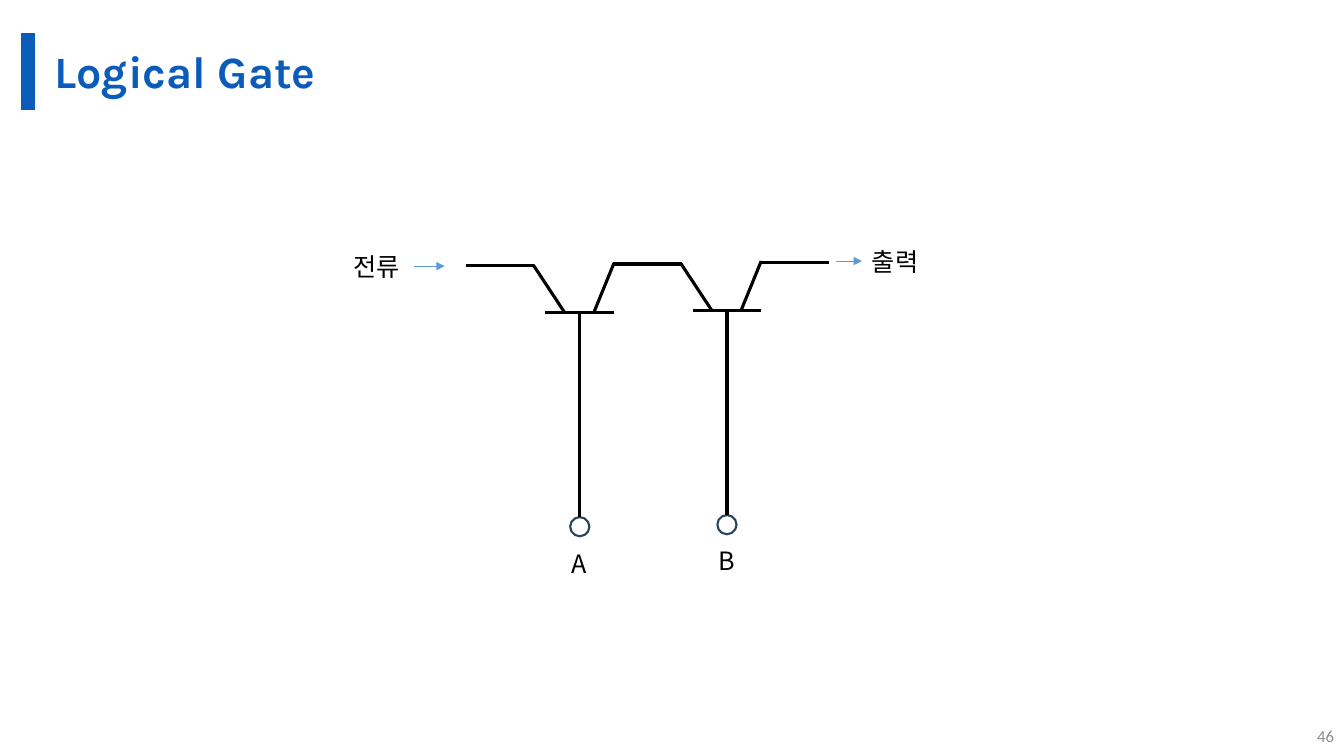
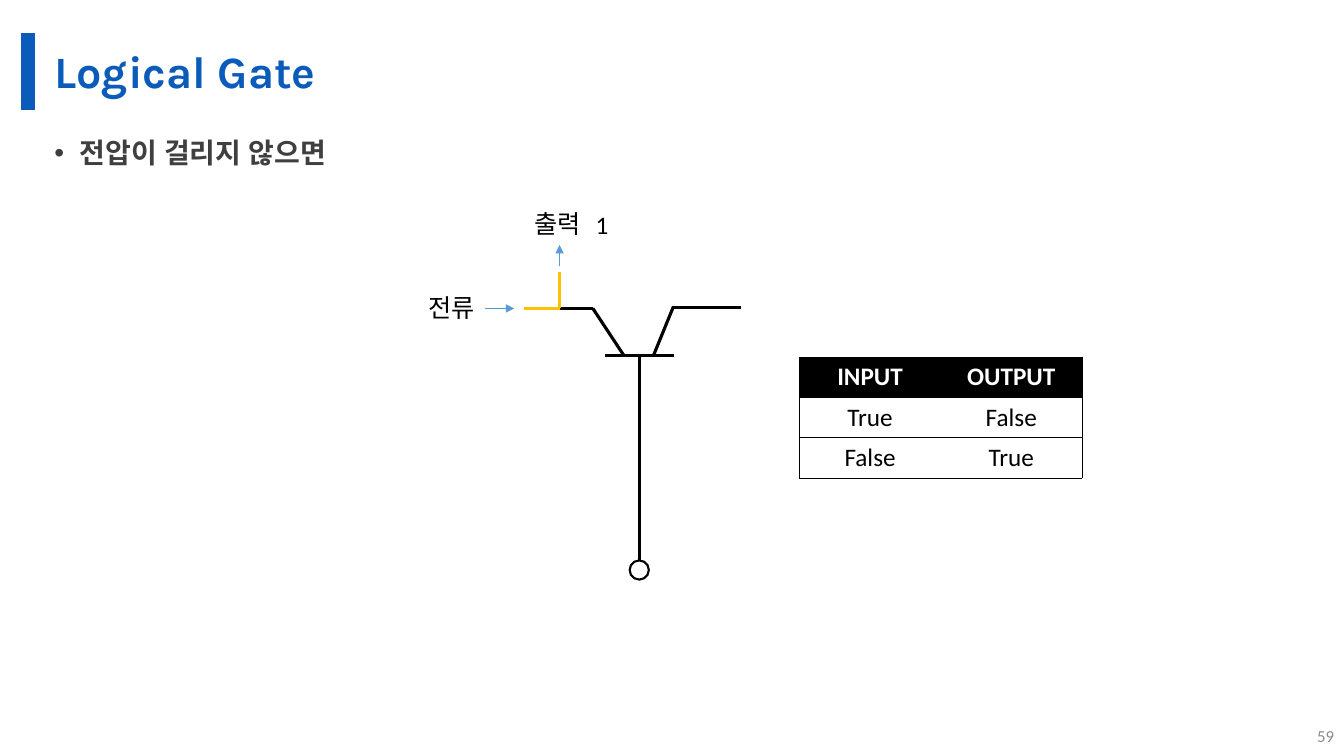
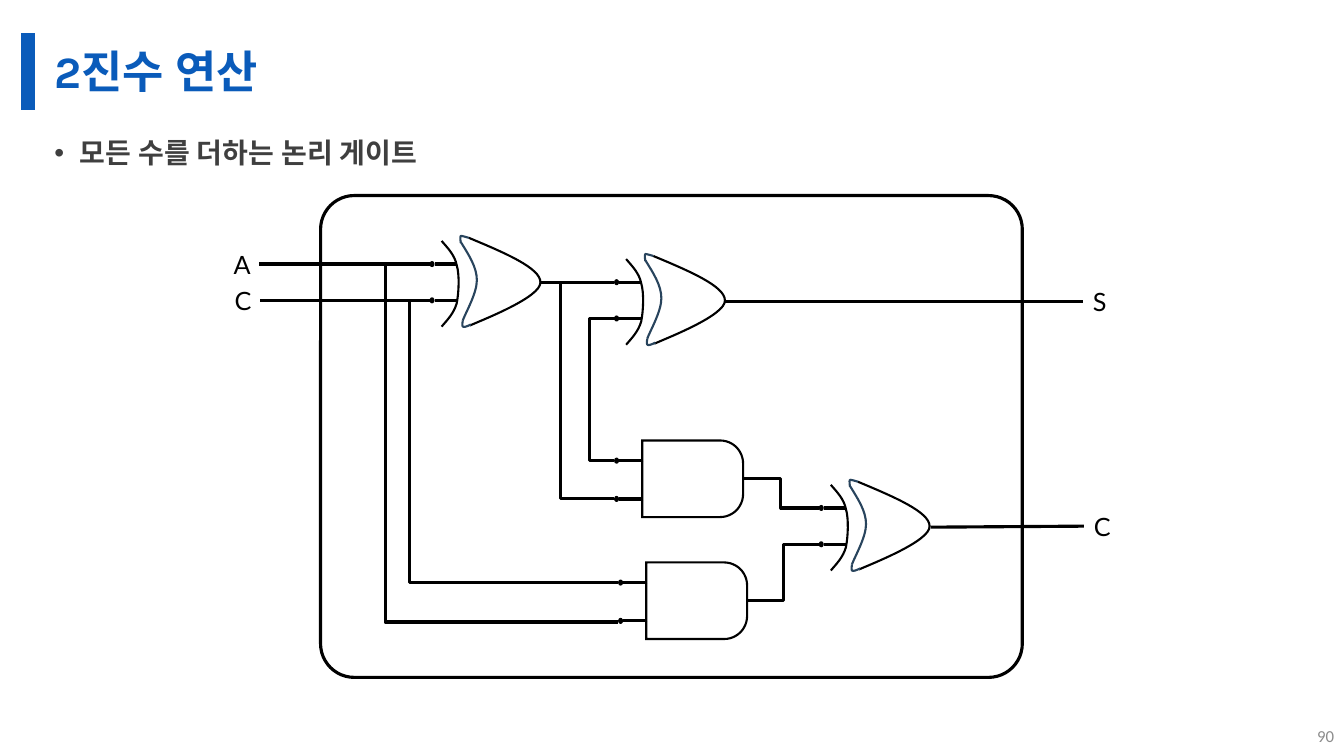
"""Builds three slides about transistors and logic gates."""
import dataclasses

import pptx
import pptx.dml.color
import pptx.enum.shapes
import pptx.enum.text
import pptx.oxml
import pptx.oxml.ns
import pptx.util

SHAPE = pptx.enum.shapes.MSO_SHAPE
CONNECTOR = pptx.enum.shapes.MSO_CONNECTOR
ALIGN = pptx.enum.text.PP_ALIGN
ANCHOR = pptx.enum.text.MSO_ANCHOR
qn = pptx.oxml.ns.qn


@dataclasses.dataclass(frozen=True)
class Theme:
    accent: str = "0A5BBA"
    ink: str = "000000"
    paper: str = "FFFFFF"
    body: str = "3F3F3F"
    muted: str = "8C8C8C"
    outline: str = "28445D"
    arrow: str = "5B9BD5"
    live: str = "FFC000"
    title_font: str = "Karla"
    body_font: str = "Lato"
    plain_font: str = "Calibri"
    korean_font: str = "Noto Sans CJK KR"
    title_size: int = 32
    body_size: int = 20
    label_size: int = 18
    number_size: int = 12
    wire: float = 2.25
    edge: float = 1.5
    hair: float = 0.5


T = Theme()
PX = 9144
SLIDE = (1333, 750)
BAR = (22, 33, 12, 75)
TITLE = (44, 33, 1245, 75)
BODY = (44, 125, 1245, 592)
NUMBER = (1289, 710, 44, 40)
LABEL_HEIGHT = 40

TRANSISTOR_WIRES = [
    (541, 310, 609, 310), (529, 263, 560, 310),
    (609, 261, 589, 310), (608, 262, 676, 262),
]
TRANSISTOR_STEM = (575, 513, 575, 310)
TERMINAL = 19

XOR_CURVES = [
    ([(465, 236), (501, 251, 536, 266, 536, 280), (537, 295, 477, 318, 466, 323)], T.ink),
    ([(465, 236), (462, 235, 458, 234, 457, 234), (456, 235, 457, 240, 457, 241)], T.outline),
    ([(467, 322), (463, 324, 460, 325, 459, 324), (458, 323, 459, 319, 459, 318)], T.outline),
    ([(457, 240), (465, 253, 473, 265, 473, 278), (473, 291, 462, 310, 459, 318)], T.outline),
    ([(438, 239), (444, 246, 451, 253, 453, 263), (456, 273, 455, 291, 453, 301),
      (450, 311, 444, 317, 438, 324)], T.ink),
]
XOR_PINS = [(426, 262), (426, 298)]
XOR_PIN_END = 453
AND_BOX = (649, 425, 76, 100)
AND_PINS = [(609, 457), (609, 495)]
AND_PIN_END = 638

AND_CIRCUIT = {
    "title": "Logical Gate", "number": "46", "terminal": T.outline,
    "transistors": [(0, 0), (146, -2)],
    "wires": [(462, 263, 530, 263, T.ink)],
    "arrows": [(411, 264, 441, 264), (829, 259, 855, 259)],
    "labels": [
        ("전류", 341, 244, 71, T.korean_font), ("출력", 855, 239, 69, T.korean_font),
        ("A", 557, 539, 37, T.korean_font), ("B", 703, 536, 37, T.korean_font),
    ],
}
NOT_CIRCUIT = {
    "title": "Logical Gate", "bullet": "전압이 걸리지 않으면", "number": "59", "terminal": T.ink,
    "transistors": [(59, 43)],
    "wires": [(520, 306, 588, 306, T.ink), (555, 270, 555, 306, T.live), (520, 306, 555, 306, T.live)],
    "arrows": [(481, 306, 510, 306), (555, 264, 555, 243)],
    "labels": [
        ("전류", 415, 285, 71, T.korean_font), ("출력", 520, 202, 69, T.korean_font),
        ("1", 581, 203, 36, T.plain_font),
    ],
}
TRUTH_TABLE = [("INPUT", "OUTPUT"), ("True", "False"), ("False", "True")]
TABLE_AT = (793, 354)
CELL = (140, 40)

ADDER = {
    "title": "2진수 연산", "bullet": "모든 수를 더하는 논리 게이트", "number": "90",
    "frame": (318, 194, 696, 478),
    "xor": [(0, 0), (183, 18), (386, 242)],
    "and": [(0, 0), (4, 121)],
    "wires": [
        (257, 262, 318, 262), (258, 298, 318, 298), (318, 262, 426, 262), (318, 298, 427, 298),
        (536, 280, 609, 280), (719, 299, 1074, 299), (923, 523, 1075, 522),
    ],
    "drops": [(556, 282, 609, 495), (406, 298, 613, 578), (382, 262, 613, 617)],
    "bends": [(610, 316, 609, 457, 26), (737, 475, 812, 504, 0.5), (741, 596, 813, 540, 0.5)],
    "labels": [
        ("A", 222, 242, 36, T.body_font), ("C", 223, 278, 36, T.body_font),
        ("S", 1074, 279, 34, T.body_font), ("C", 1075, 502, 36, T.body_font),
    ],
}


def px(*lengths):
    return [pptx.util.Emu(round(n * PX)) for n in lengths]


def rgb(color):
    return pptx.dml.color.RGBColor.from_string(color)


def place(shape, box):
    shape.left, shape.top, shape.width, shape.height = px(*box)


def sub(parent, tag, **attrs):
    e = pptx.oxml.parse_xml(f"<{tag} {pptx.oxml.ns.nsdecls('a')}/>")
    for name, value in attrs.items():
        e.set(name, str(value))
    parent.append(e)
    return e


def write(tf, text, size=T.label_size, font=T.plain_font, color=T.ink, bold=False,
          align=ALIGN.LEFT, spacing=None, after=None, bullet=False):
    p = tf.paragraphs[0]
    p.alignment, p.line_spacing = align, spacing
    p.space_before = pptx.util.Pt(0)
    if after:
        p.space_after = pptx.util.Pt(after)
    if bullet:
        pPr = p._p.get_or_add_pPr()
        pPr.set("marL", str(25 * PX))
        pPr.set("indent", str(-25 * PX))
        sub(pPr, "a:buChar", char="•")
    r = p.add_run()
    r.text = text
    r.font.size, r.font.name, r.font.bold = pptx.util.Pt(size), font, bold
    r.font.color.rgb = rgb(color)
    sub(r._r.get_or_add_rPr(), "a:ea", typeface=font)


def label(s, text, x, y, width, font):
    tf = s.shapes.add_textbox(*px(x, y, width, LABEL_HEIGHT)).text_frame
    tf.word_wrap = False
    write(tf, text, font=font)


def stroke(line, color, width):
    line.color.rgb = rgb(color)
    line.width = pptx.util.Pt(width)


def shape(shapes, kind, box, fill=None, line=None, width=T.edge):
    sp = shapes.add_shape(kind, *px(*box))
    sp.shadow.inherit = False
    if fill:
        sp.fill.solid()
        sp.fill.fore_color.rgb = rgb(fill)
    else:
        sp.fill.background()
    if line:
        stroke(sp.line, line, width)
        sub(sp.line._get_or_add_ln(), "a:miter", lim=800000)
    else:
        sp.line.fill.background()
    return sp


def wire(shapes, x1, y1, x2, y2, color=T.ink, width=T.wire, kind=CONNECTOR.STRAIGHT, arrow=False):
    c = shapes.add_connector(kind, *px(x1, y1, x2, y2))
    stroke(c.line, color, width)
    if arrow:
        sub(c.line._get_or_add_ln(), "a:tailEnd", type="triangle")
    sub(c._element.spPr, "a:effectLst")
    return c


def bend(shapes, x1, y1, x2, y2, ratio):
    c = wire(shapes, x1, y1, x2, y2, kind=CONNECTOR.ELBOW)
    guides = c._element.spPr.find(qn("a:prstGeom")).find(qn("a:avLst"))
    sub(guides, "a:gd", name="adj1", fmla=f"val {round(ratio * 100000)}")


def drop(shapes, x1, y1, x2, y2):
    c = wire(shapes, x1, y1, x2, y2, kind=CONNECTOR.ELBOW)
    across, down = x2 - x1, y2 - y1
    place(c, ((x1 + x2 - down) / 2, (y1 + y2 - across) / 2, down, across))
    spPr = c._element.spPr
    spPr.find(qn("a:prstGeom")).set("prst", "bentConnector2")
    spPr.find(qn("a:xfrm")).set("rot", str(270 * 60000))
    spPr.find(qn("a:xfrm")).set("flipH", "1")


def curve(shapes, points, dx, dy, color):
    start, *segments = points
    pairs = [start] + [seg[i:i + 2] for seg in segments for i in (0, 2, 4)]
    pairs = [px(x + dx, y + dy) for x, y in pairs]
    builder = shapes.build_freeform(*pairs[0], scale=1.0)
    builder.add_line_segments(pairs[1:], close=False)
    sp = builder.convert_to_shape()
    sp.shadow.inherit = False
    sp.fill.background()
    stroke(sp.line, color, T.edge)
    outline = next(sp._element.iter(qn("a:path")))
    steps = outline.findall(qn("a:lnTo"))
    for i in range(0, len(steps), 3):
        bezier = sub(outline, "a:cubicBezTo")
        for step in steps[i:i + 3]:
            bezier.append(step[0])
            outline.remove(step)


def transistor(s, dx, dy, terminal):
    shapes = s.shapes.add_group_shape().shapes
    for x1, y1, x2, y2 in TRANSISTOR_WIRES:
        wire(shapes, x1 + dx, y1 + dy, x2 + dx, y2 + dy)
    x1, y1, x2, y2 = TRANSISTOR_STEM
    box = (x1 + dx - TERMINAL / 2, y1 + dy, TERMINAL, TERMINAL)
    end = shape(shapes, SHAPE.OVAL, box, line=terminal)
    wire(shapes, x1 + dx, y1 + dy, x2 + dx, y2 + dy).begin_connect(end, 0)


def pins(shapes, starts, end, dx, dy):
    for x, y in starts:
        wire(shapes, end + dx, y + dy, x + dx + 5, y + dy)
        shape(shapes, SHAPE.OVAL, (x + dx, y + dy - 3, 5, 6), fill=T.ink)


def xor_gate(s, dx, dy):
    shapes = s.shapes.add_group_shape().shapes
    pins(shapes, XOR_PINS, XOR_PIN_END, dx, dy)
    for points, color in XOR_CURVES:
        curve(shapes, points, dx, dy, color)


def and_gate(s, dx, dy):
    shapes = s.shapes.add_group_shape().shapes
    x, y, w, h = AND_BOX
    sp = shape(shapes, SHAPE.ROUND_2_SAME_RECTANGLE, (x + dx, y + dy, w, h), line=T.ink)
    sp.adjustments[0], sp.adjustments[1] = 0.3, 0
    sp.rotation = 90
    pins(shapes, AND_PINS, AND_PIN_END, dx, dy)


def truth_table(s):
    rows, cols = len(TRUTH_TABLE), len(TRUTH_TABLE[0])
    size = (CELL[0] * cols, CELL[1] * rows)
    table = s.shapes.add_table(rows, cols, *px(*TABLE_AT, *size)).table
    style = table._tbl.tblPr.find(qn("a:tableStyleId"))
    style.text = "{2D5ABB26-0587-4C30-8999-92F81FD0307C}"
    for i, row in enumerate(TRUTH_TABLE):
        for j, text in enumerate(row):
            cell = table.cell(i, j)
            sides = ["a:lnL"] * (j == 0) + ["a:lnR"] * (j == cols - 1) + ["a:lnT", "a:lnB"]
            for side in sides:
                ln = sub(cell._tc.get_or_add_tcPr(), side, w=round(T.hair * 12700))
                sub(sub(ln, "a:solidFill"), "a:srgbClr", val=T.ink)
            head = i == 0
            cell.fill.solid()
            cell.fill.fore_color.rgb = rgb(T.ink if head else T.paper)
            write(cell.text_frame, text, color=T.paper if head else T.ink, bold=head, align=ALIGN.CENTER)


def new_slide(prs, content):
    bullet = content.get("bullet")
    s = prs.slides.add_slide(prs.slide_layouts[1 if bullet else 5])
    tf = s.shapes.title.text_frame
    tf.auto_size = pptx.enum.text.MSO_AUTO_SIZE.NONE
    tf.vertical_anchor = ANCHOR.MIDDLE
    tf.margin_bottom = 0
    write(tf, content["title"], T.title_size, T.title_font, T.accent, bold=True, spacing=0.9)
    if bullet:
        tf = s.placeholders[1].text_frame
        tf.auto_size = pptx.enum.text.MSO_AUTO_SIZE.NONE
        write(tf, bullet, T.body_size, T.body_font, T.body, bold=True, spacing=1.14, after=3, bullet=True)
    tf = s.shapes.add_textbox(*px(*NUMBER)).text_frame
    tf.word_wrap = True
    tf.vertical_anchor = ANCHOR.MIDDLE
    write(tf, content["number"], T.number_size, color=T.muted, align=ALIGN.RIGHT)
    for item in content["labels"]:
        label(s, *item)
    return s


def transistor_slide(prs, content):
    s = new_slide(prs, content)
    for dx, dy in content["transistors"]:
        transistor(s, dx, dy, content["terminal"])
    for item in content["wires"]:
        wire(s.shapes, *item)
    for item in content["arrows"]:
        wire(s.shapes, *item, color=T.arrow, width=T.hair, arrow=True)
    return s


def adder_slide(prs, content):
    s = new_slide(prs, content)
    frame = shape(s.shapes, SHAPE.ROUNDED_RECTANGLE, content["frame"], line=T.ink, width=T.wire)
    frame.adjustments[0] = 0.07
    for key, draw in (("xor", xor_gate), ("and", and_gate)):
        for dx, dy in content[key]:
            draw(s, dx, dy)
    for key, draw in (("wires", wire), ("drops", drop), ("bends", bend)):
        for item in content[key]:
            draw(s.shapes, *item)
    return s


def main():
    prs = pptx.Presentation()
    prs.slide_width, prs.slide_height = px(*SLIDE)
    master = prs.slide_master
    for ph, box in zip(master.placeholders, (TITLE, BODY)):
        place(ph, box)
    transistor_slide(prs, AND_CIRCUIT)
    truth_table(transistor_slide(prs, NOT_CIRCUIT))
    s = adder_slide(prs, ADDER)
    bar = shape(s.shapes, SHAPE.RECTANGLE, BAR, fill=T.accent, line=T.accent, width=1)
    master.shapes._spTree.append(bar._element)
    prs.save("out.pptx")


if __name__ == "__main__":
    main()
